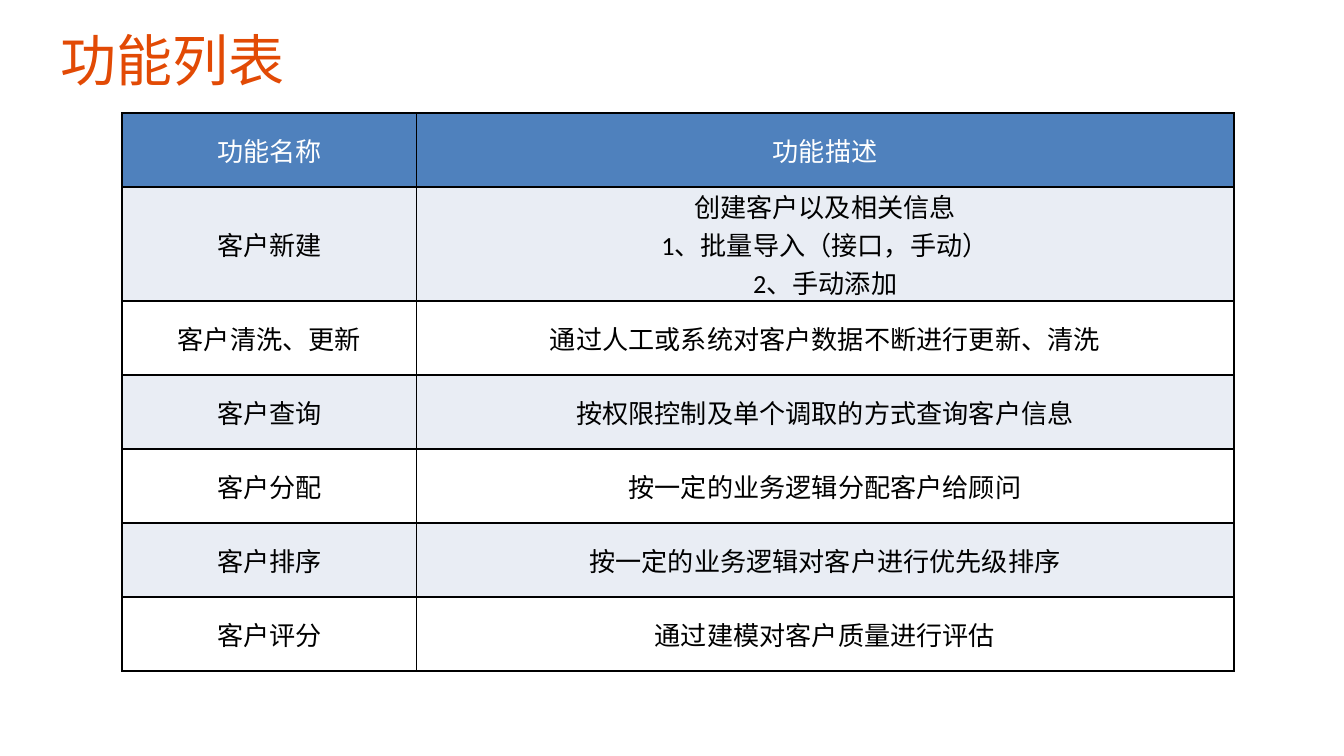
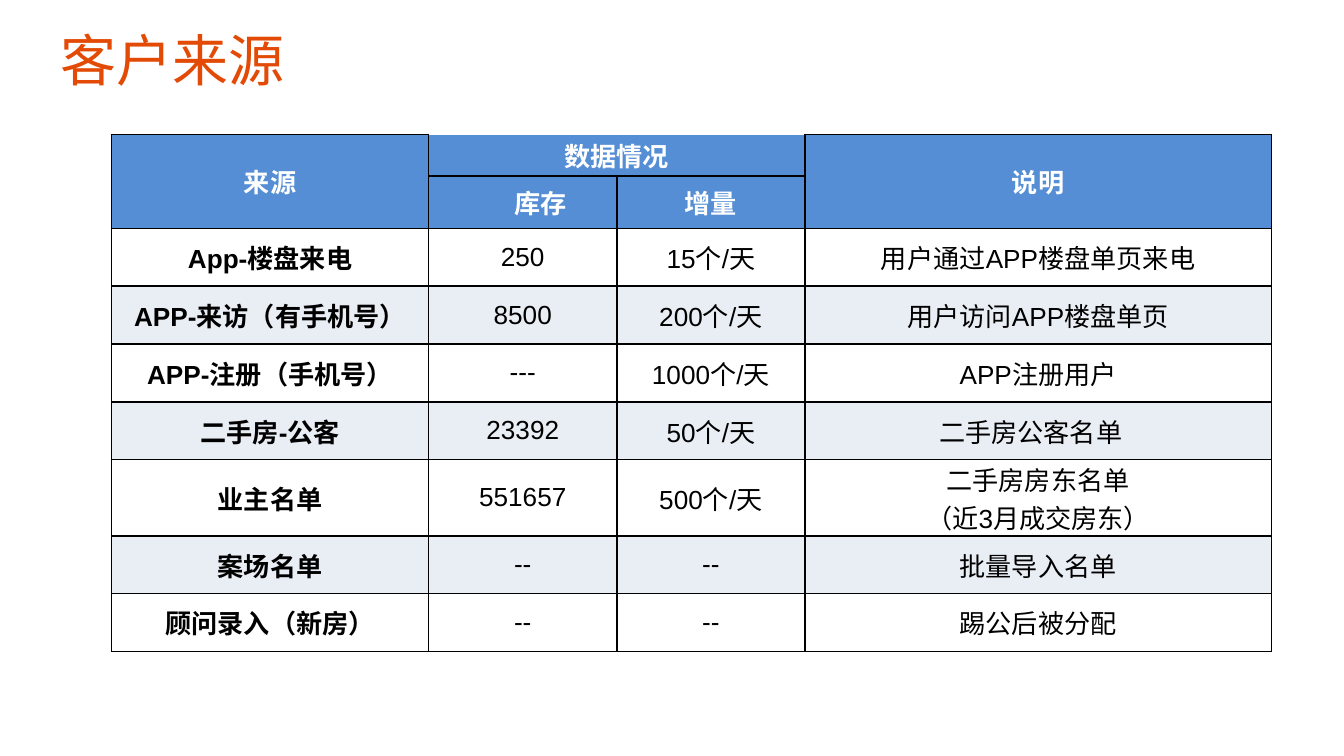
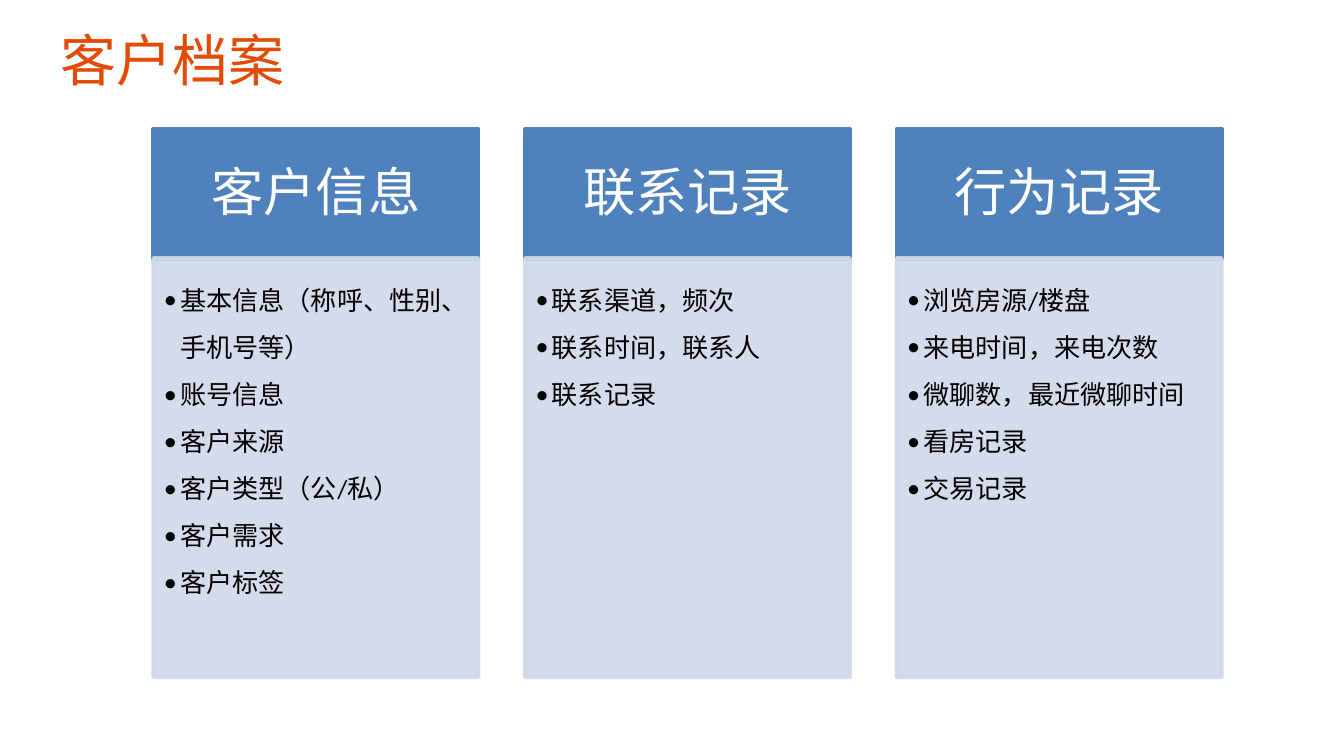
import lxml.etree
import pptx
import pptx.dml.color
import pptx.enum.shapes
import pptx.enum.text
import pptx.oxml.ns
import pptx.util

Inches = pptx.util.Inches
Pt = pptx.util.Pt
Align = pptx.enum.text.PP_ALIGN
Anchor = pptx.enum.text.MSO_ANCHOR

COLORS = {
    "title": "E24A05",
    "blue": "4F81BD",
    "sky": "558ED5",
    "band": "E9EDF4",
    "panel": "D0D8E8",
    "white": "FFFFFF",
    "black": "000000",
}

SLIDE_WIDTH = Inches(10)
SLIDE_SIZE = {"slide_width": SLIDE_WIDTH, "slide_height": SLIDE_WIDTH * 9 // 16}
TITLE_BOX = {"left": Inches(0.35), "top": Inches(0.14),
             "width": Inches(8.5), "height": Inches(0.71)}
TITLE_FRAME = {"word_wrap": True, "vertical_anchor": Anchor.TOP,
               "auto_size": pptx.enum.text.MSO_AUTO_SIZE.NONE}
CELL_FORMAT = {"vertical_anchor": Anchor.MIDDLE,
               "margin_left": Inches(0.07), "margin_right": Inches(0.07),
               "margin_top": 0, "margin_bottom": 0}
HEADING_FRAME = {"word_wrap": True, "vertical_anchor": Anchor.MIDDLE,
                 "margin_left": Inches(0.22), "margin_right": Inches(0.22),
                 "margin_top": Inches(0.12), "margin_bottom": Inches(0.12)}
HEADING_PARAGRAPH = {"alignment": Align.CENTER, "line_spacing": 0.9}
LIST_FRAME = {"word_wrap": True, "vertical_anchor": Anchor.TOP,
              "margin_left": Inches(0.08), "margin_right": Inches(0.11),
              "margin_top": Inches(0.08), "margin_bottom": Inches(0.12)}
LIST_PARAGRAPH = {"alignment": Align.LEFT, "line_spacing": 1.5, "level": 1}

FEATURES = [
    ["功能名称", "功能描述"],
    ["客户新建", "创建客户以及相关信息\n1、批量导入（接口，手动）\n2、手动添加"],
    ["客户清洗、更新", "通过人工或系统对客户数据不断进行更新、清洗"],
    ["客户查询", "按权限控制及单个调取的方式查询客户信息"],
    ["客户分配", "按一定的业务逻辑分配客户给顾问"],
    ["客户排序", "按一定的业务逻辑对客户进行优先级排序"],
    ["客户评分", "通过建模对客户质量进行评估"],
]
SOURCES = [
    ["来源", "数据情况", "", "说明"],
    ["", "库存", "增量", ""],
    ["App-楼盘来电", "250", "15个/天", "用户通过APP楼盘单页来电"],
    ["APP-来访（有手机号）", "8500", "200个/天", "用户访问APP楼盘单页"],
    ["APP-注册（手机号）", "---", "1000个/天", "APP注册用户"],
    ["二手房-公客", "23392", "50个/天", "二手房公客名单"],
    ["业主名单", "551657", "500个/天", "二手房房东名单\n（近3月成交房东）"],
    ["案场名单", "--", "--", "批量导入名单"],
    ["顾问录入（新房）", "--", "--", "踢公后被分配"],
]
PROFILE = {
    "客户信息": ["基本信息（称呼、性别、手机号等）", "账号信息", "客户来源",
             "客户类型（公/私）", "客户需求", "客户标签"],
    "联系记录": ["联系渠道，频次", "联系时间，联系人", "联系记录"],
    "行为记录": ["浏览房源/楼盘", "来电时间，来电次数", "微聊数，最近微聊时间",
             "看房记录", "交易记录"],
}


def set_values(target, values):
    for name, value in values.items():
        setattr(target, name, value)


def rgb(color):
    return pptx.dml.color.RGBColor.from_string(COLORS[color])


def add_child(parent, tag, **attributes):
    return lxml.etree.SubElement(parent, pptx.oxml.ns.qn(tag), attributes)


def write_lines(frame, lines, paragraph_format, font, size, color, bold=False):
    """Fill a text frame with one paragraph for each line."""
    frame.text = "\n".join(lines)
    for paragraph in frame.paragraphs:
        set_values(paragraph, paragraph_format)
        for run in paragraph.runs:
            set_values(run.font, {"name": font, "size": Pt(size), "bold": bold})
            run.font.color.rgb = rgb(color)


def add_titled_slide(presentation, title):
    slide = presentation.slides.add_slide(presentation.slide_layouts[5])
    shape = slide.shapes.title
    set_values(shape, TITLE_BOX)
    set_values(shape.text_frame, TITLE_FRAME)
    font = "Noto Sans CJK SC"
    write_lines(shape.text_frame, [title], {"alignment": Align.LEFT}, font, 30, "title")
    properties = shape.text_frame.paragraphs[0].runs[0].font._element
    add_child(properties, "a:ea", typeface=font)
    return slide


# Tables

def add_borders(cell, sides):
    properties = cell._tc.get_or_add_tcPr()
    for side in sides:
        line = add_child(properties, f"a:ln{side}", w=str(Pt(1)))
        add_child(add_child(line, "a:solidFill"), "a:srgbClr", val=COLORS["black"])


def add_grid(slide, box, rows, widths, heights, header_fill, body_fills, font,
             bold=False, header_rows=1, open_top=()):
    """Draw a bordered table; columns in open_top have no upper border."""
    left, top = box
    table = slide.shapes.add_table(
        len(rows), len(widths), Inches(left), Inches(top),
        Inches(sum(widths)), Inches(sum(heights))).table
    set_values(table, {"first_row": False, "horz_banding": False})
    for column, width in zip(table.columns, widths):
        column.width = Inches(width)
    for row, height in zip(table.rows, heights):
        row.height = Inches(height)

    for row_index, row in enumerate(rows):
        is_header = row_index < header_rows
        fill = header_fill if is_header else body_fills[(row_index - header_rows) % 2]
        for column_index, text in enumerate(row):
            cell = table.cell(row_index, column_index)
            set_values(cell, CELL_FORMAT)
            is_open = row_index == 0 and column_index in open_top
            add_borders(cell, "LRB" if is_open else "LRTB")
            cell.fill.solid()
            cell.fill.fore_color.rgb = rgb(fill)
            write_lines(cell.text_frame, text.split("\n"), {"alignment": Align.CENTER},
                        font, 14, "white" if is_header else "black",
                        bold and (is_header or column_index == 0))
    return table


def build_features(presentation):
    slide = add_titled_slide(presentation, "功能列表")
    add_grid(slide, (0.91, 0.84), FEATURES, [2.19, 6.08], [0.55] * len(FEATURES),
             "blue", ["band", "white"], "Calibri")


def build_sources(presentation):
    slide = add_titled_slide(presentation, "客户来源")
    table = add_grid(slide, (0.83, 1), SOURCES, [2.36, 1.4, 1.4, 3.47],
                     [0.31, 0.39] + [0.43] * 7, "sky", ["white", "band"], "Arial",
                     bold=True, header_rows=2, open_top=(1, 2))
    # Two-level header
    for first, last in [((0, 0), (1, 0)), ((0, 1), (0, 2)), ((0, 3), (1, 3))]:
        table.cell(*first).merge(table.cell(*last))
    # Off-centre texts
    table.cell(1, 1).margin_left = Inches(0.34)
    table.cell(5, 3).margin_right = Inches(0.18)


# Profile columns

def add_panel(slide, left, top, width, height, color, alpha=None):
    shape = slide.shapes.add_shape(
        pptx.enum.shapes.MSO_SHAPE.RECTANGLE,
        Inches(left), Inches(top), Inches(width), Inches(height))
    shape.shadow.inherit = False
    shape.line.width = Pt(2)
    for fill in (shape.fill, shape.line.fill):
        fill.solid()
        fill.fore_color.rgb = rgb(color)
    if alpha:
        for tone in shape._element.spPr.iter(pptx.oxml.ns.qn("a:srgbClr")):
            add_child(tone, "a:alpha", val=str(alpha * 1000))
    return shape


def add_profile_column(slide, left, top, width, heading, items):
    heading_height, list_height = 0.97, 3.12
    # Heading
    shape = add_panel(slide, left, top, width, heading_height, "blue")
    set_values(shape.text_frame, HEADING_FRAME)
    write_lines(shape.text_frame, [heading], HEADING_PARAGRAPH, "Calibri", 28, "white")
    # Bulleted list
    shape = add_panel(slide, left, top + heading_height - 0.01, width,
                      list_height, "panel", alpha=90)
    set_values(shape.text_frame, LIST_FRAME)
    write_lines(shape.text_frame, items, LIST_PARAGRAPH, "Calibri", 14, "black")
    indent = Inches(0.12)
    for paragraph in shape.text_frame.paragraphs:
        properties = paragraph._p.get_or_add_pPr()
        properties.set("marL", str(indent))
        properties.set("indent", str(-indent))
        add_child(properties, "a:buFont", typeface="Calibri")
        add_child(properties, "a:buChar", char="•")


def build_profile(presentation):
    slide = add_titled_slide(presentation, "客户档案")
    left, top, width, total_width = 1.14, 0.96, 2.42, 7.95
    step = (total_width - width) / (len(PROFILE) - 1)
    for index, (heading, items) in enumerate(PROFILE.items()):
        add_profile_column(slide, left + index * step, top, width, heading, items)


def main():
    presentation = pptx.Presentation()
    set_values(presentation, SLIDE_SIZE)
    for build in (build_features, build_sources, build_profile):
        build(presentation)
    presentation.save("out.pptx")


if __name__ == "__main__":
    main()
